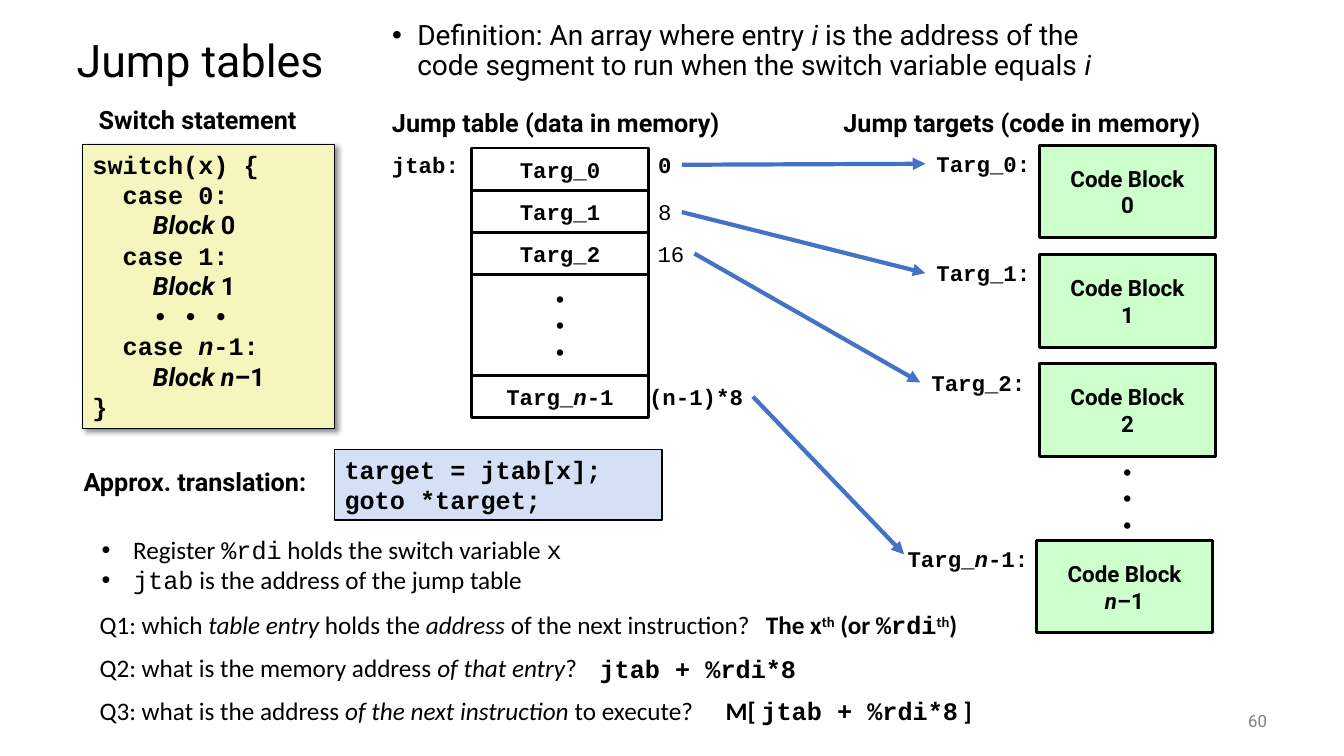
from dataclasses import dataclass

from lxml import etree
from pptx import Presentation
from pptx import util as u
from pptx.dml.color import RGBColor
from pptx.enum import shapes, text
from pptx.oxml.ns import qn

Pt = u.Pt
LEFT, CENTER, RIGHT = text.PP_ALIGN.LEFT, text.PP_ALIGN.CENTER, text.PP_ALIGN.RIGHT


@dataclass(frozen=True)
class Theme:
    sans: str = "Roboto"
    mono: str = "Courier New"
    prose: str = "Calibri"
    ink: str = "000000"
    paper: str = "FFFFFF"
    muted: str = "808080"
    arrow: str = "4472C4"
    switch_fill: str = "F6F5BD"
    goto_fill: str = "D6E0F5"
    block_fill: str = "CCFFCC"
    title: int = 32
    lead: int = 20
    normal: int = 18
    small: int = 16
    tiny: int = 12


T = Theme()
HEADING = dict(font=T.sans, size=T.normal, bold=True)
CODE = dict(font=T.mono, size=T.normal, bold=True)
CELL = dict(font=T.mono, size=T.small, bold=True)
BLOCK = dict(font=T.sans, size=T.small, bold=True)
PROSE = dict(font=T.prose, size=T.normal)
ITALIC = dict(italic=True)
MONO = dict(font=T.mono)
SANS = dict(font=T.sans)
SUPER = dict(raised=True)


def add_run(p, words, font=T.prose, size=T.normal, color=T.ink,
            bold=False, italic=False, raised=False):
    r = p.add_run()
    r.text = words
    f = r.font
    f.name, f.size, f.bold, f.italic = font, Pt(size), bold, italic
    f.color.rgb = RGBColor.from_string(color)
    if raised:
        r._r.get_or_add_rPr().set("baseline", "30000")


def add_effects(sp):
    return etree.SubElement(sp._element.spPr, qn("a:effectLst"))


class Sheet:
    def __init__(self, prs, theme):
        self.theme = theme
        self.slide = prs.slides.add_slide(prs.slide_layouts[1])

    def fill_text(self, sp, paras, align=LEFT, indent=0, spacing=None, **style):
        """Each paragraph is a string or a list of strings and (text, format) pairs."""
        tf = sp.text_frame
        for k, runs in enumerate(paras):
            p = tf.paragraphs[0] if k == 0 else tf.add_paragraph()
            if indent:
                pPr = p._p.get_or_add_pPr()
                pPr.set("marL", str(Pt(indent)))
                pPr.set("indent", str(-Pt(indent)))
                etree.SubElement(pPr, qn("a:buFont"), typeface="Arial")
                etree.SubElement(pPr, qn("a:buChar"), char="•")
            p.alignment = align
            p.space_before = Pt(0)
            if spacing:
                p.line_spacing = spacing
            for run in [runs] if isinstance(runs, str) else runs:
                words, extra = (run, {}) if isinstance(run, str) else run
                add_run(p, words, **{**style, **extra})

    def placeholder(self, idx, x, y, w, h, paras, anchor, **style):
        sp = self.slide.placeholders[idx]
        sp.left, sp.top, sp.width, sp.height = Pt(x), Pt(y), Pt(w), Pt(h)
        tf = sp.text_frame
        tf.auto_size = text.MSO_AUTO_SIZE.NONE
        tf.vertical_anchor = anchor
        self.fill_text(sp, paras, spacing=0.9, **style)

    def label(self, x, y, w, h, paras, wrap=False, **style):
        sp = self.slide.shapes.add_textbox(Pt(x), Pt(y), Pt(w), Pt(h))
        sp.text_frame.word_wrap = wrap
        sp.text_frame.auto_size = text.MSO_AUTO_SIZE.SHAPE_TO_FIT_TEXT
        self.fill_text(sp, paras, **style)
        return sp

    def box(self, x, y, w, h, paras, fill, line=2, code=False, **style):
        sp = self.slide.shapes.add_shape(
            shapes.MSO_SHAPE.RECTANGLE, Pt(x), Pt(y), Pt(w), Pt(h))
        sp.shadow.inherit = False
        sp.fill.solid()
        sp.fill.fore_color.rgb = RGBColor.from_string(fill)
        if line:
            sp.line.color.rgb = RGBColor.from_string(self.theme.ink)
            sp.line.width = Pt(line)
        else:
            sp.line.fill.background()
        tf = sp.text_frame
        tf.word_wrap = code
        anchor = text.MSO_ANCHOR
        tf.vertical_anchor = anchor.TOP if code else anchor.MIDDLE
        self.fill_text(sp, paras, align=LEFT if code else CENTER, **style)
        return sp

    def arrow(self, source, target=None, end=(0, 0)):
        c = self.slide.shapes.add_connector(
            shapes.MSO_CONNECTOR.STRAIGHT, 0, 0, Pt(end[0]), Pt(end[1]))
        c.begin_connect(source, 3)
        if target is not None:
            c.end_connect(target, 1)
        c.line.color.rgb = RGBColor.from_string(self.theme.arrow)
        c.line.width = Pt(3)
        etree.SubElement(c.line._get_or_add_ln(), qn("a:tailEnd"), type="triangle")
        add_effects(c)


def main():
    prs = Presentation()
    prs.slide_width, prs.slide_height = Pt(960), Pt(540)
    s = Sheet(prs, T)
    n, dots = ("n", ITALIC), ["•"] * 3

    # Title and definition
    s.placeholder(0, 47.5, 18, 864, 54, ["Jump tables"], text.MSO_ANCHOR.MIDDLE,
                  font=T.sans, size=T.title)
    s.placeholder(1, 272.9, 11.5, 535, 68.4, [[
        "Definition: An array where entry ", ("i ", ITALIC),
        "is the address of the code segment to run when the switch variable equals ",
        ("i", ITALIC)]], text.MSO_ANCHOR.TOP, indent=18, font=T.sans, size=T.lead)

    # Column headings
    for x, y, w, words in [(63.4, 71.3, 165, "Switch statement"),
                           (272.9, 73.4, 262, "Jump table (data in memory)"),
                           (595.4, 73.4, 285, "Jump targets (code in memory)"),
                           (52.6, 329.8, 187, "Approx. translation:")]:
        s.label(x, y, w, 28.8, [words], **HEADING)

    # Switch statement with its soft shadow
    block = ("Block", {**SANS, **ITALIC})
    cases = [line for k in "01"
             for line in (f"  case {k}:", ["    ", block, (f" {k}", SANS)])]
    switch = s.box(59, 103, 180, 203, [
        "switch(x) {", *cases, "    • • •", ["  case ", n, "-1:"],
        ["    ", ("Block n", {**SANS, **ITALIC}), ("–1", SANS)], "}"],
        T.switch_fill, line=1, code=True, **CODE)
    effects = switch._element.spPr.find(qn("a:effectLst"))
    shadow = etree.SubElement(effects, qn("a:outerShdw"), blurRad=str(Pt(4)),
                              dist=str(Pt(3)), dir="2700000", algn="tl", rotWithShape="0")
    shade = etree.SubElement(shadow, qn("a:srgbClr"), val=T.ink)
    etree.SubElement(shade, qn("a:alpha"), val="43000")

    # Translation
    s.box(239, 321.1, 234, 50.4, ["target = jtab[x];", "goto *target;"],
          T.goto_fill, line=1, code=True, **CODE)

    # Jump table
    table_x, table_y, table_w, row_h, gap_h = 337, 105.8, 126, 30.1, 72
    gap_y = table_y + 3 * row_h
    rows = [(table_y + k * row_h, [str(k)]) for k in range(3)]
    rows.append((gap_y + gap_h, [n, "-1"]))
    for y, index in rows:
        s.box(table_x, y, table_w, row_h, [["Targ", ("_", dict(bold=False)), *index]],
              T.paper, **CELL)
    s.box(table_x, gap_y, table_w, gap_h, dots, T.paper, **CELL)
    s.label(272.9, 104.4, 63.4, 26.6, ["jtab:"], **CELL)

    # Byte offsets beside the table
    offsets = [s.label(x, y, w, 26.6, [words], align=align, **{**CELL, "bold": bold})
               for x, y, w, words, align, bold in [
                   (463, 104.4, 24, "0", LEFT, True),
                   (463, 138.2, 24, "8", LEFT, False),
                   (462.2, 167.8, 33.8, "16", RIGHT, False),
                   (455, 270, 82.8, "(n-1)*8", RIGHT, True)]]

    # Code blocks and their labels
    block_y, pitch, last_y = 103.7, 78.1, 385.9
    s.box(742.3, 319.7, 126, 72, dots, T.paper, line=0, **CELL)
    targets = []
    for k, label_x in enumerate([661, 661, 657.4]):
        y = block_y + k * pitch
        s.box(742.3, y, 126, 66.2, ["Code Block", str(k)], T.block_fill, **BLOCK)
        targets.append(s.label(label_x, y, 82, 26.6, [f"Targ_{k}:"], align=RIGHT, **CELL))
    s.box(740.2, last_y, 126, 66.2, ["Code Block", [n, "–1"]], T.block_fill, **BLOCK)
    s.label(639.4, last_y, 102.2, 26.6, [["Targ_", n, "-1:"]], align=RIGHT, **CELL)

    # Arrows from offsets to targets
    for source, target in zip(offsets, targets):
        s.arrow(source, target)
    s.arrow(offsets[-1], end=(645.8, 396))

    # Register notes
    s.label(65.5, 378, 352.8, 51.1, [
        ["Register ", ("%rdi", MONO), " holds the switch variable ", ("x", MONO)],
        [("jtab", MONO), " is the address of the jump table"]],
        wrap=True, indent=22.5, **PROSE)

    # Questions and answers
    address = ("jtab + %rdi*8", MONO)
    for y, question_w, question, answer_x, answer_y, answer_w, answer in [
        (432, 486, ["Q1: which ", ("table entry", ITALIC), " holds the ",
                    ("address", ITALIC), " of the next instruction?"],
         540, 432, 155.5, ["The x", ("th", SUPER), " (or ", ("%rdi", MONO),
                           ("th", SUPER), ")"]),
        (462.2, 360, ["Q2: what is the memory address ", ("of that entry", ITALIC), "?"],
         421.2, 463, 155.5, [address]),
        (493.2, 447, ["Q3: what is the address", (" of the next instruction", ITALIC),
                      " to execute?"],
         511.2, 493.2, 191.5, ["M[ ", address, " ]"]),
    ]:
        s.label(64.1, y, question_w, 28.8, [question], **PROSE)
        s.label(answer_x, answer_y, answer_w, 28.8, [answer], bold=True, **PROSE)

    # Slide number
    number = s.label(840.2, 500.4, 72, 28.8, ["60"], wrap=True, align=RIGHT,
                     font=T.sans, size=T.tiny, color=T.muted)
    number.text_frame.auto_size = text.MSO_AUTO_SIZE.NONE
    number.text_frame.vertical_anchor = text.MSO_ANCHOR.MIDDLE

    prs.save("out.pptx")


if __name__ == "__main__":
    main()
